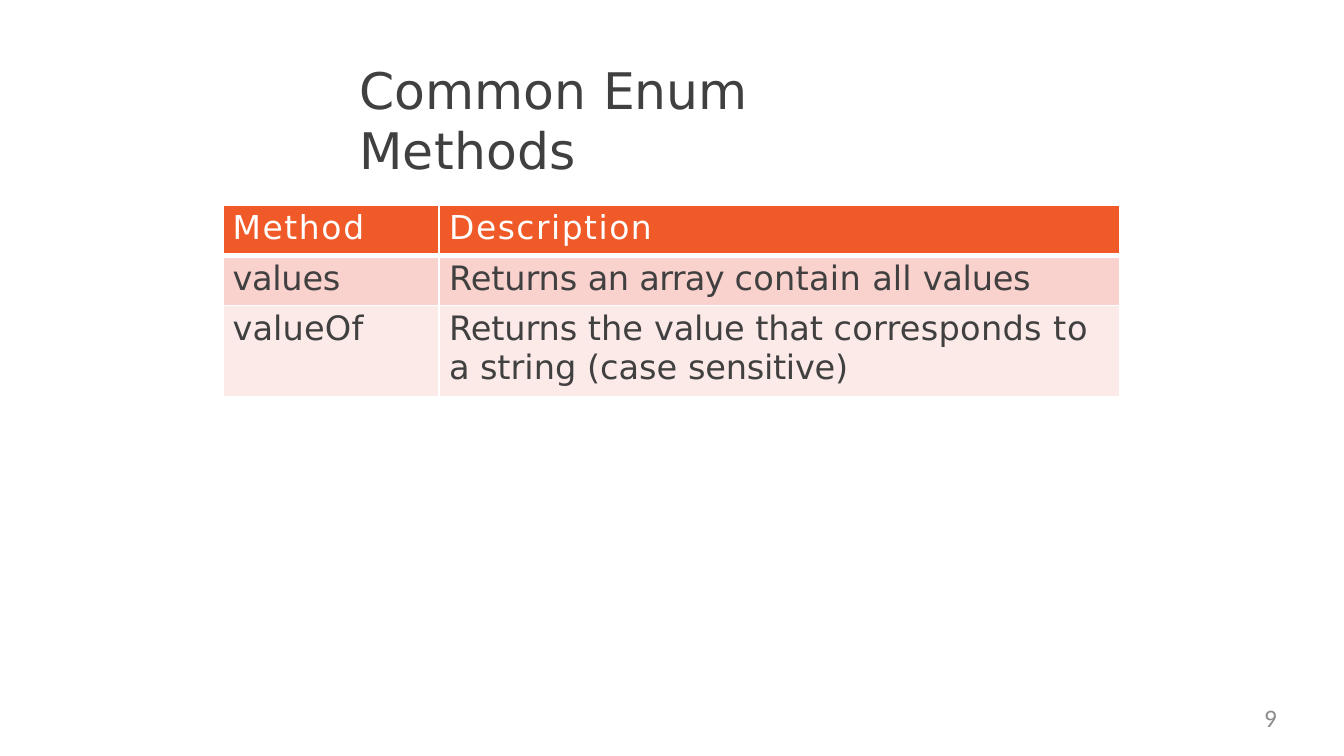
from dataclasses import dataclass

from lxml import etree
from pptx import Presentation
from pptx import util as u
from pptx.dml.color import RGBColor
from pptx.enum import text
from pptx.oxml.ns import qn

COLORS = {
    "ink": "404040",
    "white": "FFFFFF",
    "header": "F05A28",
    "band": "F9D1CD",
    "light": "FCEAE8",
    "number": "8C8C8C",
}
FONT = "DejaVu Sans"


@dataclass(frozen=True)
class Span:
    text: str
    spacing: float


@dataclass(frozen=True)
class Style:
    size: float
    color: str
    before: float = 0
    indent: float = 0
    font: str = FONT


@dataclass(frozen=True)
class Row:
    cells: tuple[tuple[Span, ...], ...]
    height: float
    fill: str
    style: Style
    top: float = 1.5
    bottom: float = 1.5


HEADER = Style(23.5, "white", 2.9, 0.25)
BODY = Style(24, "ink", 2.6, 0.25)
TITLE = (Span("Common ", 0.1), Span("Enum ", -0.2), Span("Methods", 0.2))
COLUMNS = (5.46, 17.15)
ROWS = (
    Row(((Span("Method", 1.2),), (Span("Description", 1.1),)),
        1.27, "header", HEADER, bottom=4.25),
    Row(((Span("values", -0.2),),
         (Span("Returns ", -0.1), Span("an ", -0.3), Span("array ", -0.5),
          Span("contain ", 0.2), Span("all ", 0.1), Span("values", -0.2))),
        1.27, "band", BODY, top=4.25),
    Row(((Span("valueOf", 0.1),),
         (Span("Returns ", -0.1), Span("the ", 0.1), Span("value ", -0.2),
          Span("that ", -0.1), Span("corresponds ", 0.2), Span("to", 0.6),
          Span(" ", 8.8), Span("a ", -0.3), Span("string (case ", 0),
          Span("sensitive)", -0.2))),
        2.29, "light", BODY),
)


def rgb(name: str) -> RGBColor:
    return RGBColor.from_string(COLORS[name])


def write(tf, spans: tuple[Span, ...], style: Style) -> None:
    p = tf.paragraphs[0]
    p.space_before = u.Pt(style.before)
    pPr = p._p.get_or_add_pPr()
    pPr.set("marL", str(u.Cm(style.indent)))
    pPr.set("indent", "0")
    p.font.size = u.Pt(style.size)
    p.font.name = style.font
    p.font.bold = False
    p.font.color.rgb = rgb(style.color)
    for span in spans:
        r = p.add_run()
        r.text = span.text
        r._r.get_or_add_rPr().set("spc", str(round(span.spacing * 100)))


def format_frame(tf, top: float = 0) -> None:
    tf.margin_left = tf.margin_right = tf.margin_bottom = 0
    tf.margin_top = u.Cm(top)
    tf.word_wrap = True
    tf.vertical_anchor = text.MSO_ANCHOR.TOP
    tf.auto_size = text.MSO_AUTO_SIZE.SHAPE_TO_FIT_TEXT


def place(sp, left: float, top: float, width: float, height: float) -> None:
    sp.left, sp.top = u.Cm(left), u.Cm(top)
    sp.width, sp.height = u.Cm(width), u.Cm(height)


def add_borders(cell, top: float, bottom: float) -> None:
    tcPr = cell._tc.get_or_add_tcPr()
    for side, width in (("L", 1.5), ("R", 1.5), ("T", top), ("B", bottom)):
        ln = etree.SubElement(tcPr, qn(f"a:ln{side}"), w=str(u.Pt(width)))
        fill = etree.SubElement(ln, qn("a:solidFill"))
        etree.SubElement(fill, qn("a:srgbClr"), val=COLORS["white"])


def add_methods_table(s) -> None:
    height = sum(row.height for row in ROWS)
    frame = s.shapes.add_table(len(ROWS), len(COLUMNS), u.Cm(5.61), u.Cm(5.16),
                               u.Cm(sum(COLUMNS)), u.Cm(height))
    table = frame.table
    table.first_row = table.horz_banding = False
    for column, width in zip(table.columns, COLUMNS):
        column.width = u.Cm(width)
    for line, row in zip(table.rows, ROWS):
        line.height = u.Cm(row.height)
        for cell, spans in zip(line.cells, row.cells):
            cell.margin_left = cell.margin_right = cell.margin_bottom = 0
            cell.margin_top = u.Cm(0.1)
            add_borders(cell, row.top, row.bottom)
            cell.fill.solid()
            cell.fill.fore_color.rgb = rgb(row.fill)
            write(cell.text_frame, spans, row.style)


def main() -> None:
    prs = Presentation()
    prs.slide_width, prs.slide_height = u.Cm(33.87), u.Cm(19.05)
    s = prs.slides.add_slide(prs.slide_layouts[5])

    title = s.shapes.title
    place(title, 9.02, 1.45, 15.62, 1.6)
    format_frame(title.text_frame, 0.03)
    write(title.text_frame, TITLE, Style(36, "ink", 1, 0.03))
    title.text_frame.paragraphs[0].alignment = text.PP_ALIGN.LEFT

    add_methods_table(s)

    number = s.shapes.add_textbox(u.Cm(24.38), u.Cm(17.7), u.Cm(7.8), u.Cm(0.97))
    format_frame(number.text_frame)
    write(number.text_frame, (Span("9", 0),), Style(18, "number", font="Calibri"))
    number.text_frame.paragraphs[0].alignment = text.PP_ALIGN.RIGHT

    prs.save("out.pptx")


if __name__ == "__main__":
    main()
